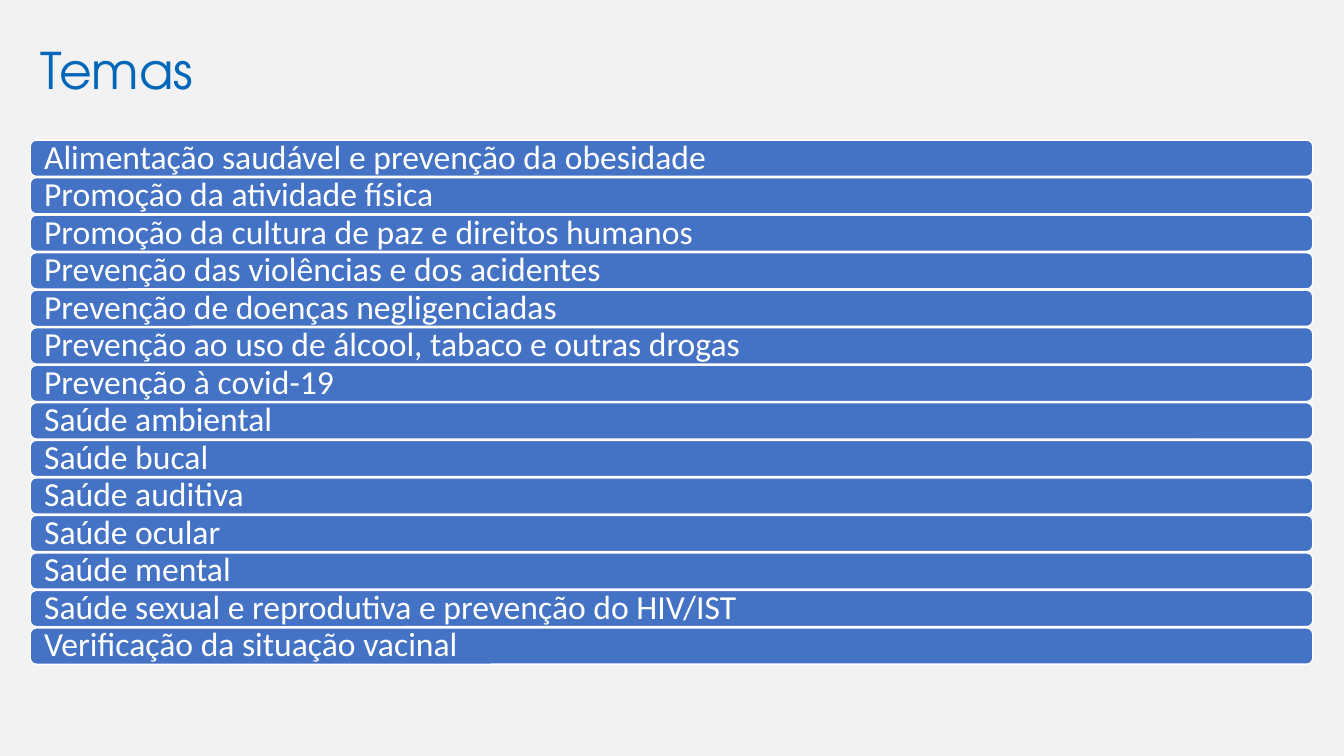
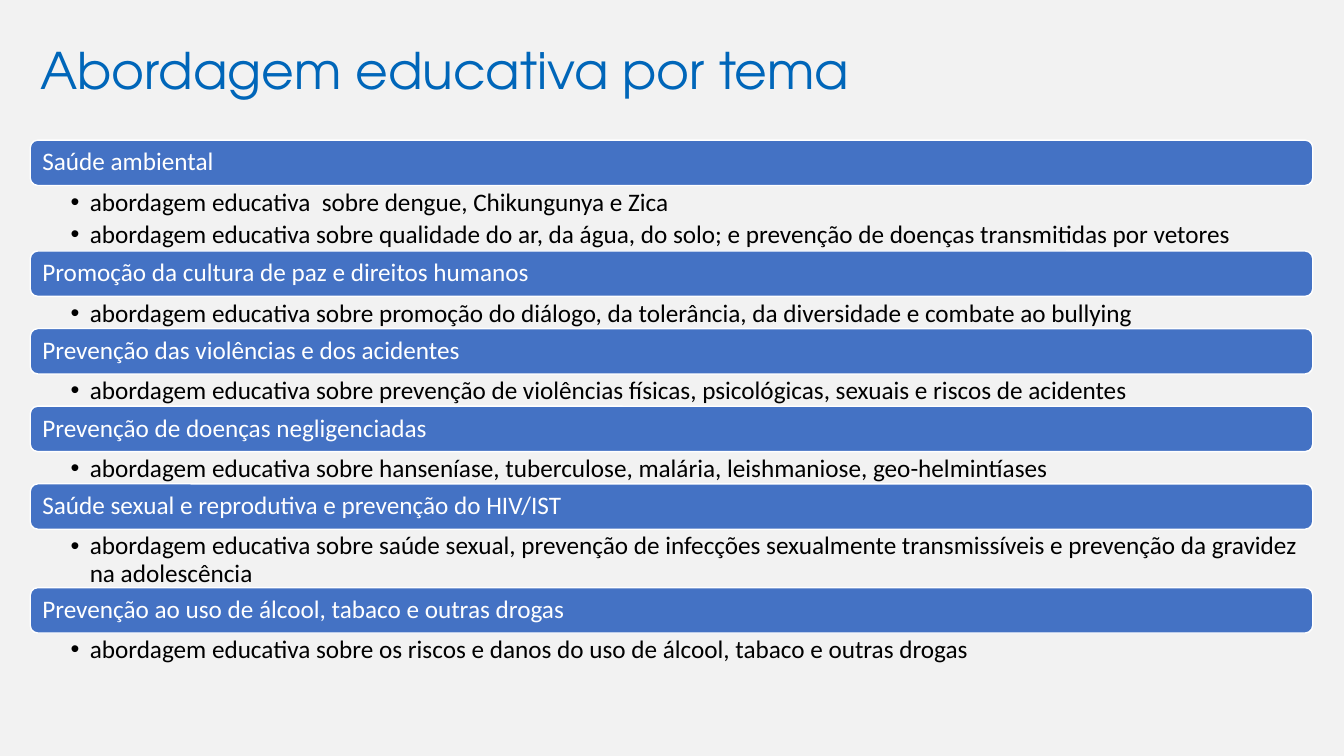
from lxml.etree import SubElement
from pptx import Presentation
from pptx.dml.color import RGBColor
from pptx.enum.shapes import MSO_SHAPE
from pptx.enum.text import MSO_ANCHOR, PP_ALIGN
from pptx.oxml.ns import qn
from pptx.util import Inches, Pt

LEFT, WIDTH, TOP = 0.3, 12.72, 1.39
THEMES = [
    "Alimentação saudável e prevenção da obesidade",
    "Promoção da atividade física",
    "Promoção da cultura de paz e direitos humanos",
    "Prevenção das violências e dos acidentes",
    "Prevenção de doenças negligenciadas",
    "Prevenção ao uso de álcool, tabaco e outras drogas",
    "Prevenção à covid-19",
    "Saúde ambiental",
    "Saúde bucal",
    "Saúde auditiva",
    "Saúde ocular",
    "Saúde mental",
    "Saúde sexual e reprodutiva e prevenção do HIV/IST",
    "Verificação da situação vacinal",
]
TOPICS = [
    ("Saúde ambiental", 0.64, [
        "abordagem educativa  sobre dengue, Chikungunya e Zica",
        "abordagem educativa sobre qualidade do ar, da água, do solo; "
        "e prevenção de doenças transmitidas por vetores"]),
    ("Promoção da cultura de paz e direitos humanos", 0.31, [
        "abordagem educativa sobre promoção do diálogo, da tolerância, "
        "da diversidade e combate ao bullying"]),
    ("Prevenção das violências e dos acidentes", 0.31, [
        "abordagem educativa sobre prevenção de violências físicas, "
        "psicológicas, sexuais e riscos de acidentes"]),
    ("Prevenção de doenças negligenciadas", 0.31, [
        "abordagem educativa sobre hanseníase, tuberculose, malária, "
        "leishmaniose, geo-helmintíases"]),
    ("Saúde sexual e reprodutiva e prevenção do HIV/IST", 0.57, [
        "abordagem educativa sobre saúde sexual, prevenção de infecções "
        "sexualmente transmissíveis e prevenção da gravidez na adolescência"]),
    ("Prevenção ao uso de álcool, tabaco e outras drogas", 0.31, [
        "abordagem educativa sobre os riscos e danos do uso de álcool, "
        "tabaco e outras drogas"]),
]


def color(code):
    return RGBColor.from_string(code)


def write(frame, lines, size=18, font="Calibri", ink="FFFFFF",
          insets=(0.1, 0.05, 0.1, 0.05), anchor=MSO_ANCHOR.MIDDLE,
          after=0, bullet=None):
    frame.word_wrap = True
    frame.vertical_anchor = anchor
    (frame.margin_left, frame.margin_top,
     frame.margin_right, frame.margin_bottom) = map(Inches, insets)
    for i, line in enumerate(lines):
        para = frame.add_paragraph() if i else frame.paragraphs[0]
        para.alignment = PP_ALIGN.LEFT
        para.line_spacing = 0.9
        para.space_after = Pt(after)
        run = para.add_run()
        run.text = line
        run.font.size = Pt(size)
        run.font.name = font
        run.font.color.rgb = color(ink)
        if bullet:
            props = para._p.get_or_add_pPr()
            props.set("marL", str(Inches(0.19)))
            props.set("indent", str(Inches(-0.19)))
            SubElement(props, qn("a:buFont")).set("typeface", "Arial")
            SubElement(props, qn("a:buChar")).set("char", bullet)


class Deck:
    def __init__(self):
        self.show = Presentation()
        self.show.slide_width = Inches(13.33)
        self.show.slide_height = Inches(7.5)
        self.slide = None

    def start(self, title):
        self.slide = self.show.slides.add_slide(self.show.slide_layouts[6])
        fill = self.slide.background.fill
        fill.solid()
        fill.fore_color.rgb = color("F2F2F2")
        self.label([title], 0.13, 1.2, size=36, font="TeX Gyre Adventor",
                   ink="0066B9")

    def label(self, lines, top, height, **style):
        box = self.slide.shapes.add_textbox(
            Inches(LEFT), Inches(top), Inches(WIDTH), Inches(height))
        write(box.text_frame, lines, **style)

    def bar(self, text, top, height, size, inset):
        bar = self.slide.shapes.add_shape(
            MSO_SHAPE.ROUNDED_RECTANGLE,
            Inches(LEFT), Inches(top), Inches(WIDTH), Inches(height))
        bar.shadow.inherit = False
        bar.fill.solid()
        bar.fill.fore_color.rgb = color("4472C4")
        bar.line.color.rgb = color("FFFFFF")
        bar.line.width = Pt(1)
        write(bar.text_frame, [text], size=size,
              insets=(inset, 0, inset, 0))

    def points(self, lines, top, height):
        self.label(lines, top, height, ink="000000", after=3.6, bullet="•",
                   insets=(0.4, 0.03, 0.14, 0.03), anchor=MSO_ANCHOR.TOP)


def main():
    deck = Deck()

    deck.start("Temas")
    step = (6.23 - TOP) / (len(THEMES) - 1)
    for i, theme in enumerate(THEMES):
        deck.bar(theme, TOP + i * step, 0.36, size=24, inset=0.12)

    deck.start("Abordagem educativa por tema")
    top = TOP
    for theme, height, lines in TOPICS:
        deck.bar(theme, top, 0.45, size=18, inset=0.1)
        top += 0.46
        deck.points(lines, top, height)
        top += height

    deck.show.save("out.pptx")


if __name__ == "__main__":
    main()
